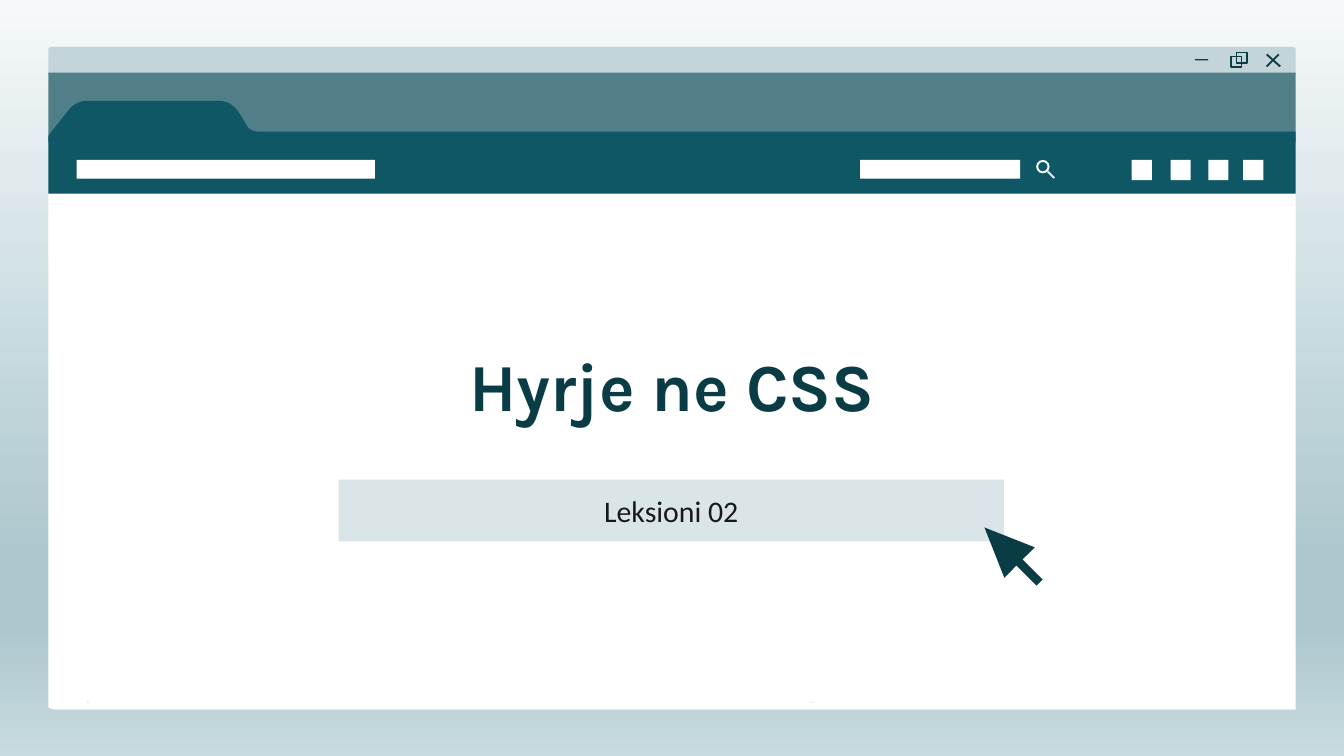
from lxml import etree
from pptx import Presentation
from pptx.dml.color import RGBColor
from pptx.enum.shapes import MSO_SHAPE
from pptx.enum.text import MSO_ANCHOR, PP_ALIGN
from pptx.oxml.ns import qn
from pptx.util import Inches, Pt

THEME = {
    "ink": "0A3C46", "toolbar": "0F5765", "tab_strip": "507F89", "title_bar": "C3D5D9",
    "button": "D9E5E7", "page": "FFFFFF", "handle": "E8E8E7", "speck": "CAE8F8",
    "text": "191919", "title_size": 36, "subtitle_size": 16,
    "title_font": "Karla", "subtitle_font": "Calibri",
}
BACKGROUND = [(0, "F6F9FA"), (74, "ACC8CE"), (83, "ACC8CE"), (100, "C8DBDF")]
TITLE = "Hyrje ne CSS"
SUBTITLE = "Leksioni 02"

LEFT, RIGHT = 0.36, 9.64
WIDTH = RIGHT - LEFT
FIELD_TOP, FIELD_HEIGHT = 1.19, 0.14
FIELDS = [(0.57, 2.22), (6.4, 1.19)]
BUTTON_LEFTS = [8.42, 8.71, 8.99, 9.25]
RESTORE_SQUARES = [(9.16, 0.42), (9.2, 0.39)]

PAGE = [(LEFT, 1.44), (LEFT, 5.26), (0.36, 5.27, 0.39, 5.28, 0.43, 5.28), (RIGHT, 5.28), (RIGHT, 1.44)]
TOOLBAR = [
    (1.62, 0.75), (0.65, 0.75), (0.59, 0.75, 0.54, 0.78, 0.51, 0.82), (LEFT, 1.01),
    (LEFT, 1.44), (RIGHT, 1.44), (RIGHT, 0.98), (1.92, 0.98),
    (1.89, 0.98, 1.85, 0.96, 1.84, 0.94), (1.78, 0.84), (1.74, 0.78, 1.69, 0.75, 1.62, 0.75),
]
ICON_OUTLINES = [
    ("ink", [(9.51, 0.4), (9.42, 0.49), (9.43, 0.5), (9.52, 0.41)]),
    ("ink", [(9.43, 0.4), (9.42, 0.41), (9.52, 0.5), (9.53, 0.49)]),
    ("handle", [(7.8, 1.27), (7.79, 1.28), (7.84, 1.33), (7.85, 1.32)]),
    ("speck", [(0.65, 5.21), (0.65, 5.23), (0.67, 5.23), (0.66, 5.23, 0.65, 5.22, 0.65, 5.21)]),
    ("speck", [(6.05, 5.21), (6.05, 5.22, 6.04, 5.23, 6.03, 5.23), (6.05, 5.23)]),
]


def color(name):
    """Return the theme colour of that name."""
    return RGBColor.from_string(THEME[name])


def paint(shape, fill=None, line=None):
    """Set fill and outline of a shape and drop its shadow."""
    shape.shadow.inherit = False
    if fill:
        shape.fill.solid()
        shape.fill.fore_color.rgb = color(fill)
    else:
        shape.fill.background()
    if line:
        shape.line.color.rgb = color(line)
        shape.line.width = Pt(0.75)
    else:
        shape.line.fill.background()
    return shape


def add_preset(slide, kind, left, top, width, height, fill=None, line=None, adjustments=()):
    """Add a preset shape measured in inches."""
    shape = slide.shapes.add_shape(kind, Inches(left), Inches(top), Inches(width), Inches(height))
    for index, value in enumerate(adjustments):
        shape.adjustments[index] = value
    return paint(shape, fill, line)


def flatten(outline, steps=10):
    """Turn corner points and cubic curve segments into plain points."""
    points = []
    for segment in outline:
        if len(segment) == 2:
            points.append(segment)
            continue
        controls = [points[-1], segment[:2], segment[2:4], segment[4:]]
        for step in range(1, steps + 1):
            t = step / steps
            weights = [(1 - t) ** 3, 3 * t * (1 - t) ** 2, 3 * t * t * (1 - t), t ** 3]
            points.append(tuple(sum(w * c[axis] for w, c in zip(weights, controls)) for axis in (0, 1)))
    return [(Inches(x), Inches(y)) for x, y in points]


def add_outline(slide, outline, fill):
    """Add a closed filled outline."""
    start, *others = flatten(outline)
    builder = slide.shapes.build_freeform(*start)
    builder.add_line_segments(others, close=True)
    return paint(builder.convert_to_shape(), fill)


def write_text(shape, text, *, font, size, fill, bold=False, anchor=MSO_ANCHOR.MIDDLE):
    """Write one centred line of text into a shape."""
    frame = shape.text_frame
    frame.word_wrap = True
    frame.vertical_anchor = anchor
    frame.margin_left = frame.margin_right = frame.margin_top = frame.margin_bottom = Inches(0.1)
    paragraph = frame.paragraphs[0]
    paragraph.alignment = PP_ALIGN.CENTER
    run = paragraph.add_run()
    run.text = text
    run.font.name = font
    run.font.size = Pt(size)
    run.font.bold = bold
    run.font.color.rgb = color(fill)


def set_background(slide):
    """Fill the slide with the vertical gradient."""
    fill = slide.background.fill
    fill.gradient()
    fill.gradient_angle = 270
    stops = next(slide.element.iter(qn("a:gsLst")))
    for stop in list(stops):
        stops.remove(stop)
    for position, value in BACKGROUND:
        stop = etree.SubElement(stops, qn("a:gs"), pos=str(position * 1000))
        etree.SubElement(stop, qn("a:srgbClr"), val=value)


def add_browser(slide):
    """Draw the browser window with its bars, fields and icons."""
    add_preset(slide, MSO_SHAPE.ROUND_2_SAME_RECTANGLE, LEFT, 0.35, WIDTH, 0.2, "title_bar", adjustments=(0.1, 0))
    add_preset(slide, MSO_SHAPE.RECTANGLE, LEFT, 0.54, WIDTH, 0.52, "tab_strip")
    add_outline(slide, PAGE, "page")
    add_outline(slide, TOOLBAR, "toolbar")
    for left, width in FIELDS:
        add_preset(slide, MSO_SHAPE.RECTANGLE, left, FIELD_TOP, width, FIELD_HEIGHT, "page")
    for left in BUTTON_LEFTS:
        add_preset(slide, MSO_SHAPE.RECTANGLE, left, FIELD_TOP, 0.15, 0.15, "page")
    add_preset(slide, MSO_SHAPE.DONUT, 7.71, FIELD_TOP, 0.1, 0.1, "page", adjustments=(0.15,))
    add_preset(slide, MSO_SHAPE.RECTANGLE, 8.89, 0.44, 0.1, 0.01, "ink")
    for left, top in RESTORE_SQUARES:
        add_preset(slide, MSO_SHAPE.RECTANGLE, left, top, 0.08, 0.08, line="ink")
    for fill, outline in ICON_OUTLINES:
        add_outline(slide, outline, fill)


def main():
    """Build the title slide and save it."""
    presentation = Presentation()
    presentation.slide_width = Inches(10)
    presentation.slide_height = presentation.slide_width * 9 // 16
    slide = presentation.slides.add_slide(presentation.slide_layouts[6])
    set_background(slide)
    add_browser(slide)
    title = slide.shapes.add_textbox(Inches(1.17), Inches(2.46), Inches(7.66), Inches(0.86))
    write_text(
        title, TITLE, font=THEME["title_font"], size=THEME["title_size"], fill="ink",
        bold=True, anchor=MSO_ANCHOR.TOP,
    )
    subtitle = add_preset(slide, MSO_SHAPE.RECTANGLE, 2.52, 3.57, 4.95, 0.46, "button")
    write_text(subtitle, SUBTITLE, font=THEME["subtitle_font"], size=THEME["subtitle_size"], fill="text")
    pointer = add_preset(
        slide, MSO_SHAPE.RIGHT_ARROW, 7.24, 3.97, 0.58, 0.32, "ink", adjustments=(0.202, 1.152)
    )
    pointer.rotation = 225
    presentation.save("out.pptx")


if __name__ == "__main__":
    main()
